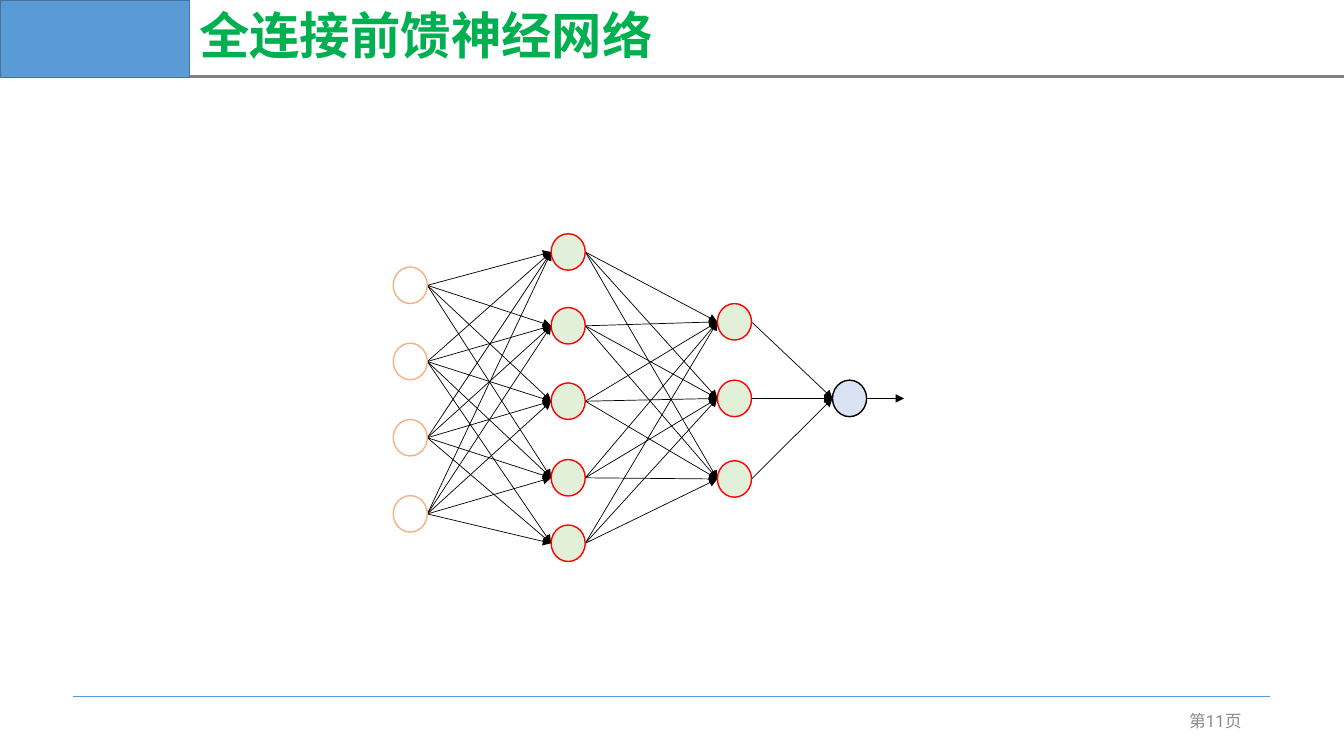
from itertools import product

from lxml import etree
from pptx import Presentation
from pptx.dml.color import RGBColor
from pptx.enum.shapes import MSO_CONNECTOR, MSO_SHAPE
from pptx.enum.text import MSO_ANCHOR, PP_ALIGN
from pptx.oxml.ns import qn
from pptx.util import Cm, Pt

STRAIGHT = MSO_CONNECTOR.STRAIGHT
RECT, OVAL = MSO_SHAPE.RECTANGLE, MSO_SHAPE.OVAL
MIDDLE = MSO_ANCHOR.MIDDLE
LEFT, RIGHT = PP_ALIGN.LEFT, PP_ALIGN.RIGHT

BLACK = RGBColor(0x00, 0x00, 0x00)
WHITE = RGBColor(0xFF, 0xFF, 0xFF)
BLUE = RGBColor(0x5B, 0x9B, 0xD5)
DARK_BLUE = RGBColor(0x43, 0x73, 0x9E)
PALE_BLUE = RGBColor(0xDA, 0xE3, 0xF3)
GREEN = RGBColor(0x00, 0xB0, 0x50)
PALE_GREEN = RGBColor(0xE2, 0xF0, 0xD9)
RED = RGBColor(0xFF, 0x00, 0x00)
ORANGE = RGBColor(0xF4, 0xB1, 0x83)
GRAY = RGBColor(0x80, 0x80, 0x80)
LIGHT_GRAY = RGBColor(0x8C, 0x8C, 0x8C)

NODE_W, NODE_H = 0.86, 0.92
OUTPUT_ARROW = 0.94

# Layers: x offset, y offsets of the nodes, fill, outline
LAYERS = [
    (0, [0.84 + 1.92 * i for i in range(4)], WHITE, ORANGE),
    (3.98, [0, 1.86, 3.76, 5.69, 7.34], PALE_GREEN, RED),
    (8.17, [1.76, 3.69, 5.72], PALE_GREEN, RED),
    (11.07, [3.69], PALE_BLUE, BLACK),
]
# Unconnected pair: layer, node, node of the next layer
MISSING = {(0, 0, 4)}


def add_line(s, x1, y1, x2, y2, color, width, arrow=False):
    line = s.shapes.add_connector(STRAIGHT, Cm(x1), Cm(y1), Cm(x2), Cm(y2))
    line.line.color.rgb = color
    line.line.width = Pt(width)
    if arrow:
        etree.SubElement(line.line._get_or_add_ln(), qn("a:tailEnd"), type="triangle")
    etree.SubElement(line._element.spPr, qn("a:effectLst"))


def add_filled(s, kind, x, y, w, h, fill, outline):
    sp = s.shapes.add_shape(kind, Cm(x), Cm(y), Cm(w), Cm(h))
    sp.shadow.inherit = False
    sp.fill.solid()
    sp.fill.fore_color.rgb = fill
    sp.line.color.rgb = outline
    sp.line.width = Pt(1)


def add_text(s, x, y, w, h, text, color, align=LEFT, spacing=1.0, **font):
    tf = s.shapes.add_textbox(Cm(x), Cm(y), Cm(w), Cm(h)).text_frame
    tf.word_wrap = True
    tf.vertical_anchor = MIDDLE
    p = tf.paragraphs[0]
    p.alignment = align
    p.line_spacing = spacing
    r = p.add_run()
    r.text = text
    for name, value in font.items():
        setattr(r.font, name, value)
    r.font.color.rgb = color
    # East Asian glyphs
    etree.SubElement(r.font._element, qn("a:ea"), typeface="Noto Sans CJK SC")


def add_header(s, x, y, w, h):
    add_line(s, x + 4.34, y + h, x + w, y + h, GRAY, 2)
    add_filled(s, RECT, x + 0.02, y, 4.75, h + 0.03, BLUE, DARK_BLUE)
    add_text(s, x + 4.77, y, 28.4, h, "全连接前馈神经网络", GREEN, spacing=0.9,
             name="Noto Sans CJK SC", size=Pt(36), bold=True)


def add_network(s, x, y):
    # Links from the right of each node to the left of each next node
    for i, (layer, following) in enumerate(zip(LAYERS, LAYERS[1:])):
        pairs = product(enumerate(layer[1]), enumerate(following[1]))
        for (a, y1), (b, y2) in pairs:
            if (i, a, b) not in MISSING:
                add_line(s, x + layer[0] + NODE_W, y + y1 + NODE_H / 2,
                         x + following[0], y + y2 + NODE_H / 2, BLACK, 0.5, True)

    # Output arrow
    out_x, (out_y,) = LAYERS[-1][:2]
    x1, y1 = x + out_x + NODE_W, y + out_y + NODE_H / 2
    add_line(s, x1, y1, x1 + OUTPUT_ARROW, y1, BLACK, 0.5, True)

    # Nodes
    for dx, tops, fill, outline in LAYERS:
        for dy in tops:
            add_filled(s, OVAL, x + dx, y + dy, NODE_W, NODE_H, fill, outline)


def add_footer(s, x, y, w):
    add_line(s, x, y, x + w, y, BLUE, 0.5)
    add_text(s, x + w - 8.08, y + 0.1, 7.62, 1.02, "第11页", LIGHT_GRAY, RIGHT,
             name="Roboto", size=Pt(12))


def main():
    prs = Presentation()
    prs.slide_width, prs.slide_height = Cm(33.87), Cm(19.05)
    s = prs.slides.add_slide(prs.slide_layouts[6])
    add_header(s, 0, 0, 33.87, 1.93)
    add_network(s, 9.91, 5.89)
    add_footer(s, 1.83, 17.55, 30.17)
    prs.save("out.pptx")


if __name__ == "__main__":
    main()
